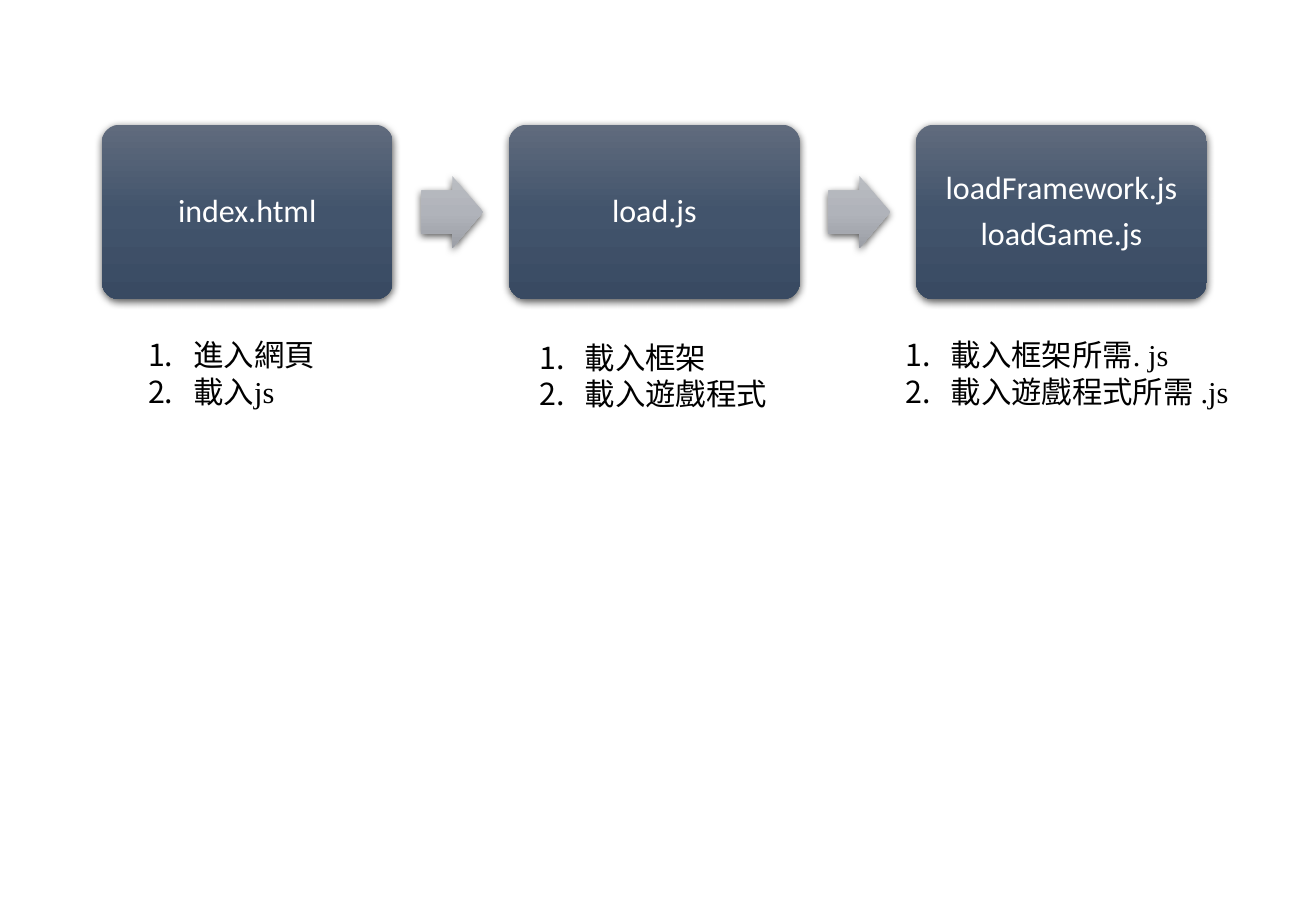
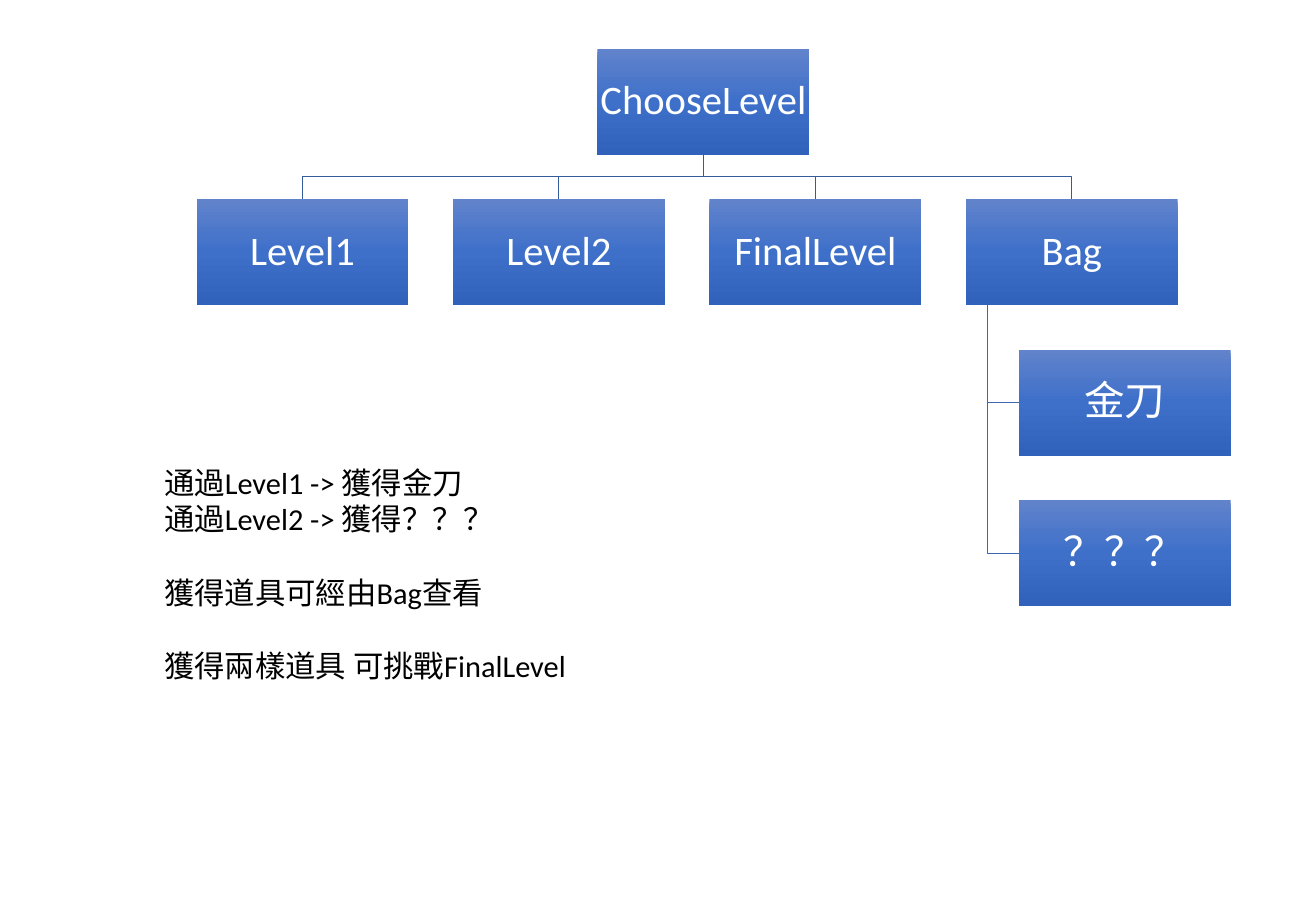
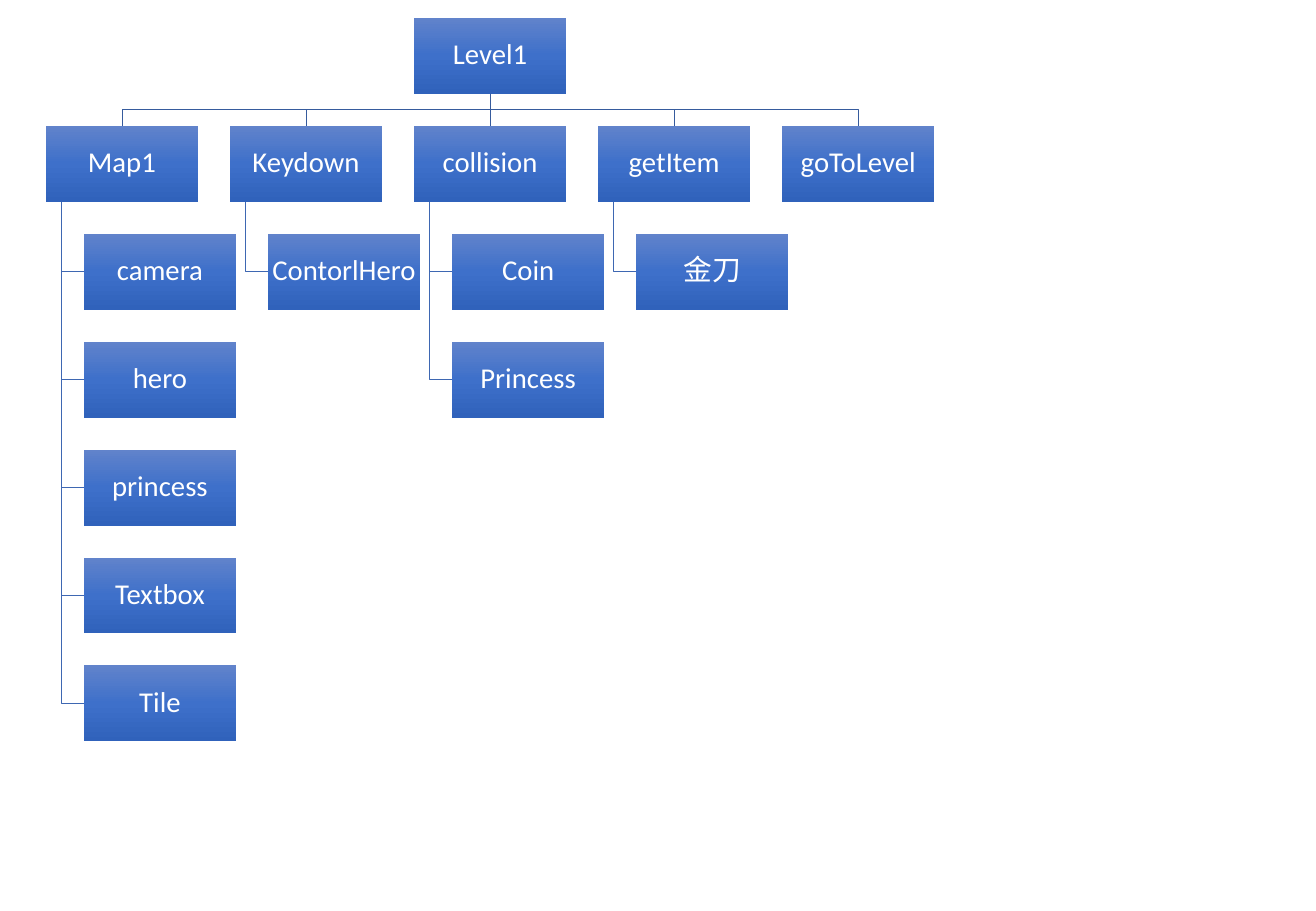
"""Build three slides showing the loading flow and level structure of a web game."""
from dataclasses import dataclass

from lxml import etree
from pptx import Presentation
from pptx.dml.color import RGBColor
from pptx.enum.shapes import MSO_CONNECTOR, MSO_SHAPE
from pptx.enum.text import MSO_ANCHOR, MSO_AUTO_SIZE, PP_ALIGN
from pptx.oxml.ns import qn
from pptx.util import Cm, Pt

ROUNDED, ARROW, RECTANGLE = MSO_SHAPE.ROUNDED_RECTANGLE, MSO_SHAPE.RIGHT_ARROW, MSO_SHAPE.RECTANGLE
STRAIGHT = MSO_CONNECTOR.STRAIGHT
TOP, MIDDLE = MSO_ANCHOR.TOP, MSO_ANCHOR.MIDDLE
NO_AUTOFIT = MSO_AUTO_SIZE.NONE
LEFT, CENTER = PP_ALIGN.LEFT, PP_ALIGN.CENTER
BLANK_LAYOUT, LISTS_LAYOUT = 6, 4


@dataclass(frozen=True)
class Theme:
    """Hold the colours, fonts and type sizes of the slides."""
    flow_gradient: tuple = ("606B7D", "42546C", "394A62")
    arrow_gradient: tuple = ("BABDC2", "B0B3BA", "9C9FA6")
    node_gradient: tuple = ("6183CB", "3E70CA", "3062BB")
    row_link: str = "365B9D"
    branch_link: str = "3E67B2"
    light: str = "FFFFFF"
    dark: str = "000000"
    font: str = "Calibri"
    list_font: str = "Times New Roman"
    flow_size: int = 19
    body_size: int = 18
    link_width: float = 0.5


THEME = Theme()

STEPS = [
    {"files": ["index.html"], "tasks": ["進入網頁", "載入js"],
     "list_at": (2.84, 6.91, 4.04)},
    {"files": ["load.js"], "tasks": ["載入框架", "載入遊戲程式"],
     "list_at": (11.02, 6.96, 5.33)},
    {"files": ["loadFramework.js", "loadGame.js"],
     "tasks": ["載入框架所需. js", "載入遊戲程式所需 .js"],
     "list_at": (18.67, 6.91, 7.34)},
]

CHOOSE_LEVEL = {
    "root": "ChooseLevel", "root_shift": 0.34,
    "left": 4.11, "top": 1.02, "width": 4.43, "inset": 0.04, "size": 24,
    "branches": [("Level1", []), ("Level2", []), ("FinalLevel", []),
                 ("Bag", ["金刀", "？？？"])],
}
LEVEL_ONE = {
    "root": "Level1", "root_shift": 0,
    "left": 0.96, "top": 0.37, "width": 3.18, "inset": 0.02, "size": 17,
    "branches": [("Map1", ["camera", "hero", "princess", "Textbox", "Tile"]),
                 ("Keydown", ["ContorlHero"]),
                 ("collision", ["Coin", "Princess"]),
                 ("getItem", ["金刀"]),
                 ("goToLevel", [])],
}
NOTE_GROUPS = [
    ["通過Level1 -> 獲得金刀", "通過Level2 -> 獲得？？？"],
    ["獲得道具可經由Bag查看"],
    ["獲得兩樣道具 可挑戰FinalLevel"],
]


def color(value):
    return RGBColor.from_string(value)


def set_gradient(shape, colors):
    shape.fill.gradient()
    shape.fill.gradient_angle = 270
    stops = shape._element.spPr.find(qn("a:gradFill")).find(qn("a:gsLst"))
    for stop in list(stops):
        stops.remove(stop)
    for index, value in enumerate(colors):
        stop = etree.SubElement(stops, qn("a:gs"), pos=str(index * 50000))
        etree.SubElement(stop, qn("a:srgbClr"), val=value)


def add_shadow(shape):
    effects = shape._element.spPr.find(qn("a:effectLst"))
    shadow = etree.SubElement(effects, qn("a:outerShdw"), blurRad=str(Pt(4.5)),
                              dist=str(Pt(1.5)), dir="5400000", rotWithShape="0")
    black = etree.SubElement(shadow, qn("a:srgbClr"), val=THEME.dark)
    etree.SubElement(black, qn("a:alpha"), val="63000")


def add_block(slide, kind, box, colors, adjustments=()):
    shape = slide.shapes.add_shape(kind, *box)
    shape.shadow.inherit = False
    shape.line.fill.background()
    set_gradient(shape, colors)
    for index, value in enumerate(adjustments):
        shape.adjustments[index] = value
    return shape


def set_frame(shape, anchor, inset=None):
    frame = shape.text_frame
    frame.word_wrap = True
    frame.auto_size = NO_AUTOFIT
    frame.vertical_anchor = anchor
    if inset is not None:
        frame.margin_left = frame.margin_right = inset
        frame.margin_top = frame.margin_bottom = inset
    return frame


def write_lines(frame, lines, size, ink, font, align=LEFT, spacing=1.0):
    for index, (text, space_before) in enumerate(lines):
        paragraph = frame.add_paragraph() if index else frame.paragraphs[0]
        paragraph.alignment = align
        paragraph.line_spacing = spacing
        paragraph.space_before = Pt(space_before)
        run = paragraph.add_run()
        run.text = text
        run.font.size = Pt(size)
        run.font.name = font
        run.font.bold = False
        run.font.color.rgb = color(ink)


def write_label(shape, texts, size, inset):
    lines = [(text, 0.35 * size if index else 0) for index, text in enumerate(texts)]
    write_lines(set_frame(shape, MIDDLE, inset), lines, size, THEME.light,
                THEME.font, CENTER, 0.9)


def number_paragraphs(frame):
    for paragraph in frame.paragraphs:
        properties = paragraph._p.get_or_add_pPr()
        properties.set("marL", str(Cm(0.95)))
        properties.set("indent", str(-Cm(0.95)))
        etree.SubElement(properties, qn("a:buFontTx"))
        etree.SubElement(properties, qn("a:buAutoNum"), type="arabicPeriod")


def add_flow(slide):
    left, top, width, height, step = Cm(2.13), Cm(2.61), Cm(6.08), Cm(3.65), Cm(8.51)
    arrow_width, arrow_height = Cm(1.29), Cm(1.51)
    arrow_top = top + (height - arrow_height) // 2
    for index, item in enumerate(STEPS):
        x = left + index * step
        block = add_block(slide, ROUNDED, (x, top, width, height), THEME.flow_gradient, [0.1])
        add_shadow(block)
        write_label(block, item["files"], THEME.flow_size, Cm(0.3))
        if index < len(STEPS) - 1:
            box = (x + width + Cm(0.6), arrow_top, arrow_width, arrow_height)
            add_shadow(add_block(slide, ARROW, box, THEME.arrow_gradient, [0.6, 0.5]))


def fill_task_lists(slide):
    title, *bodies = slide.placeholders
    for body, item in zip(bodies, STEPS):
        body.left, body.top, body.width = map(Cm, item["list_at"])
        body.height = Cm(1.8)
        frame = set_frame(body, TOP)
        write_lines(frame, [(task, 0) for task in item["tasks"]],
                    THEME.body_size, THEME.dark, THEME.list_font)
        number_paragraphs(frame)
    for unused in [title, *bodies[len(STEPS):]]:
        unused._element.getparent().remove(unused._element)


def style_line(line, ink):
    line.color.rgb = color(ink)
    line.width = Pt(THEME.link_width)


def add_link(slide, points, ink):
    builder = slide.shapes.build_freeform(*points[0])
    builder.add_line_segments(points[1:], close=False)
    link = builder.convert_to_shape()
    link.shadow.inherit = False
    link.fill.background()
    style_line(link.line, ink)


def link_row(slide, root, node):
    start_x, end_x = root.left + root.width // 2, node.left + node.width // 2
    start_y, end_y = root.top + root.height, node.top
    if abs(start_x - end_x) < Cm(0.02):
        connector = slide.shapes.add_connector(STRAIGHT, start_x, start_y, end_x, end_y)
        connector.begin_connect(root, 2)
        connector.end_connect(node, 0)
        style_line(connector.line, THEME.row_link)
        etree.SubElement(connector._element.spPr, qn("a:effectLst"))
    else:
        bus_y = (start_y + end_y) // 2
        points = [(start_x, start_y), (start_x, bus_y), (end_x, bus_y), (end_x, end_y)]
        add_link(slide, points, THEME.row_link)


def link_leaf(slide, node, leaf):
    trunk_x = node.left + node.width // 10
    leaf_y = leaf.top + leaf.height // 2
    points = [(trunk_x, node.top + node.height), (trunk_x, leaf_y), (leaf.left, leaf_y)]
    add_link(slide, points, THEME.branch_link)


def add_tree(slide, tree):
    left, top, width = Cm(tree["left"]), Cm(tree["top"]), Cm(tree["width"])
    column_step, row_step = int(width * 1.21), int(width * 0.71)

    def add_node(text, x, row):
        box = (x, top + row * row_step, width, width // 2)
        node = add_block(slide, RECTANGLE, box, THEME.node_gradient)
        write_label(node, [text], tree["size"], Cm(tree["inset"]))
        return node

    branches = tree["branches"]
    root_x = left + (len(branches) - 1) * column_step // 2 + Cm(tree["root_shift"])
    root = add_node(tree["root"], root_x, 0)
    for column, (text, leaves) in enumerate(branches):
        x = left + column * column_step
        node = add_node(text, x, 1)
        link_row(slide, root, node)
        for row, leaf_text in enumerate(leaves, 2):
            link_leaf(slide, node, add_node(leaf_text, x + width // 4, row))


def add_note(slide):
    note = slide.shapes.add_textbox(Cm(3.18), Cm(9.58), Cm(14.53), Cm(4.88))
    lines = [(text, 22 if group and not index else 0)
             for group, texts in enumerate(NOTE_GROUPS)
             for index, text in enumerate(texts)]
    write_lines(set_frame(note, TOP), lines, THEME.body_size, THEME.dark, THEME.font)


def main():
    presentation = Presentation()
    presentation.slide_width, presentation.slide_height = Cm(27.51), Cm(19.05)
    layouts = presentation.slide_layouts

    loading = presentation.slides.add_slide(layouts[LISTS_LAYOUT])
    fill_task_lists(loading)
    add_flow(loading)

    choosing = presentation.slides.add_slide(layouts[BLANK_LAYOUT])
    add_tree(choosing, CHOOSE_LEVEL)
    add_note(choosing)

    add_tree(presentation.slides.add_slide(layouts[BLANK_LAYOUT]), LEVEL_ONE)
    presentation.save("out.pptx")


if __name__ == "__main__":
    main()
